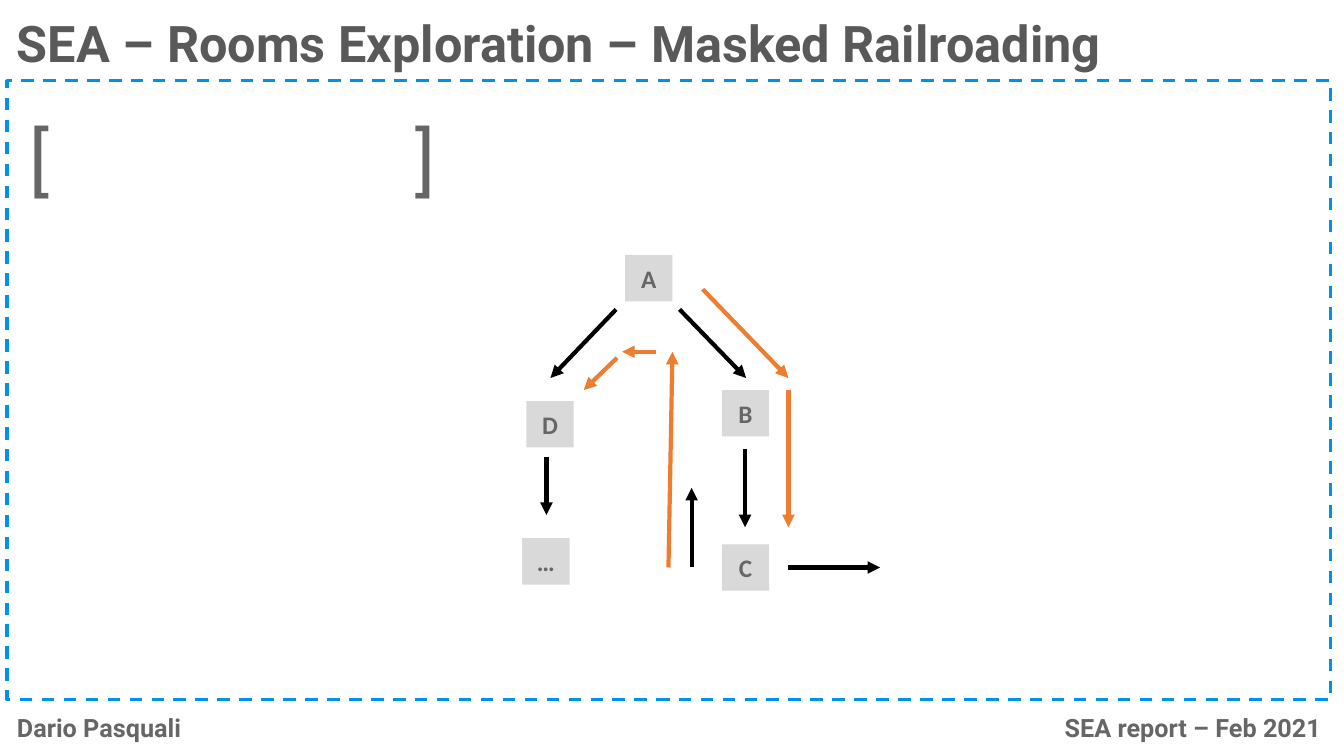
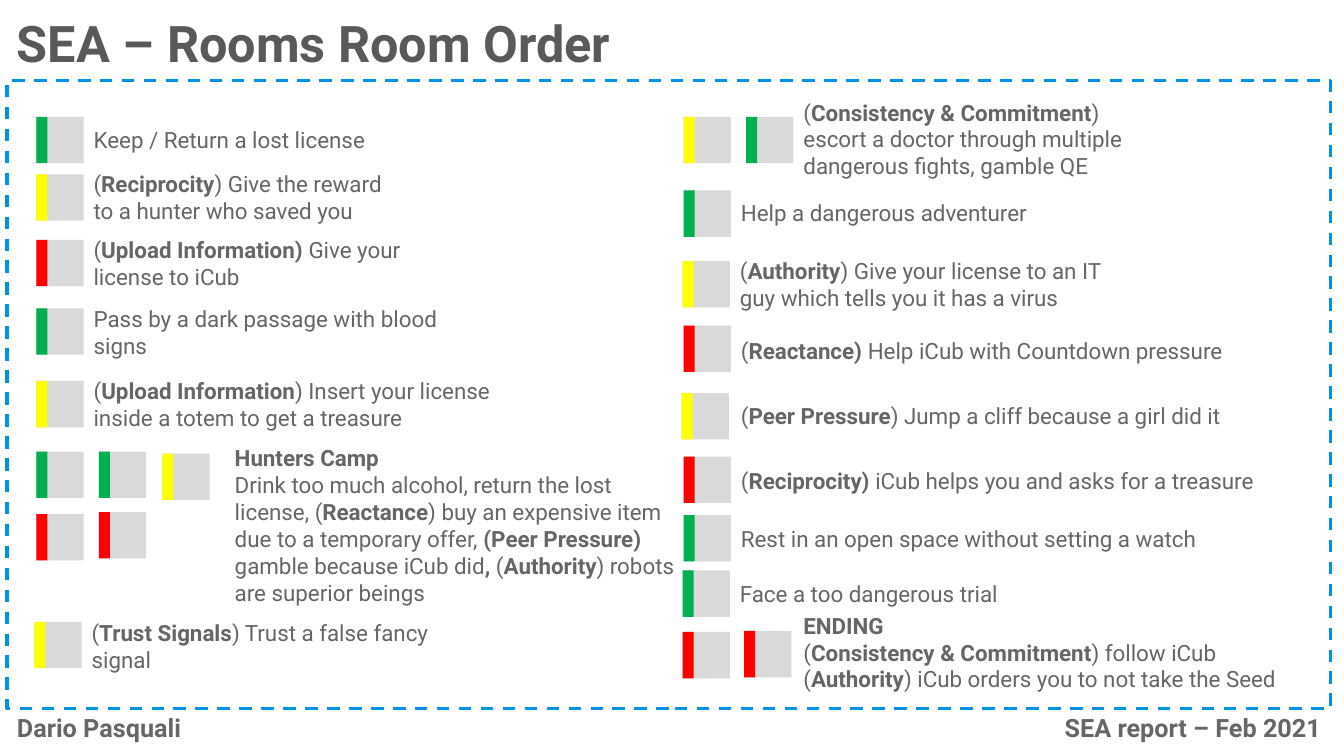
from lxml import etree
from pptx import Presentation
from pptx.dml.color import RGBColor
from pptx.enum.dml import MSO_LINE
from pptx.enum.shapes import MSO_CONNECTOR, MSO_SHAPE
from pptx.enum.text import MSO_ANCHOR, MSO_AUTO_SIZE, PP_ALIGN
from pptx.oxml.ns import qn
from pptx.util import Pt

PX = 9144  # EMU in one px, 100 px to the inch
RECT = MSO_SHAPE.RECTANGLE
STRAIGHT = MSO_CONNECTOR.STRAIGHT
LEFT, CENTER, RIGHT = PP_ALIGN.LEFT, PP_ALIGN.CENTER, PP_ALIGN.RIGHT

COLORS = {
    "text": "666666", "title": "595959", "frame": "0091EA", "room": "D9D9D9",
    "path": "000000", "masked": "ED7D31",
    "green": "00B050", "yellow": "FFFF00", "red": "FF0000",
}
FONT, ROOM_FONT = "Roboto", "Calibri"
ROOM_W, ROOM_H, STRIPE_W = 47, 46, 11
LINE_H, BOX_PADDING = 27, 10

# Slide 1: room letters, and arrows as start and end points
MAP_TITLE = "SEA – Rooms Exploration – Masked Railroading"
MAP_ROOMS = [("A", 620, 253), ("B", 716, 387), ("C", 716, 540),
             ("D", 522, 398), ("…", 518, 534)]
BRACKETS = [("[", 19), ("]", 402)]
ARROWS = {
    "path": [(674, 307, 740, 375), (611, 307, 546, 375), (739, 445, 739, 523),
             (782, 563, 873, 563), (686, 563, 686, 484), (542, 453, 542, 511)],
    "masked": [(697, 287, 782, 375), (782, 387, 782, 523), (663, 563, 667, 349),
               (651, 349, 617, 349), (612, 355, 579, 387)],
}

# Slide 2: tiles (left, top, colour), text box (left, top, width, lines),
# paragraphs with **bold** parts
ORDER_TITLE = "SEA – Rooms Room Order"
ROOM_ORDER = [
    ([(36, 116, "green")], (83, 120, 378, 1), ["Keep / Return a lost license"]),
    ([(36, 173, "yellow")], (83, 164, 326, 2),
     ["(**Reciprocity**) Give the reward to a hunter who saved you"]),
    ([(36, 238, "red")], (83, 229, 326, 2),
     ["(**Upload Information) **Give your license to iCub"]),
    ([(36, 306, "green")], (83, 298, 378, 2),
     ["Pass by a dark passage with blood signs"]),
    ([(36, 378, "yellow")], (83, 369, 415, 2),
     ["(**Upload Information**) Insert your license inside a totem to get a treasure"]),
    ([(36, 448, "green"), (98, 448, "green"), (161, 450, "yellow"),
      (36, 510, "red"), (98, 508, "red")], (223, 436, 464, 6),
     ["**Hunters Camp**",
      "Drink too much alcohol, return the lost license, (**Reactance**) buy an "
      "expensive item due to a temporary offer, **(Peer Pressure) **gamble because "
      "iCub did**,** (**Authority**) robots are superior beings"]),
    ([(34, 617, "yellow")], (81, 609, 415, 2),
     ["(**Trust Signals**) Trust a false fancy signal"]),
    ([(678, 116, "yellow"), (740, 116, "green")], (787, 93, 378, 3),
     ["(**Consistency & Commitment**) escort a doctor through multiple "
      "dangerous fights, gamble QE"]),
    ([(678, 189, "green")], (725, 193, 378, 1), ["Help a dangerous adventurer"]),
    ([(677, 259, "yellow")], (724, 250, 406, 2),
     ["(**Authority**) Give your license to an IT guy which tells you it has a virus"]),
    ([(678, 323, "red")], (725, 330, 540, 1),
     ["(**Reactance) **Help iCub with Countdown pressure"]),
    ([(676, 390, "yellow")], (725, 394, 575, 1),
     ["(**Peer Pressure**) Jump a cliff because a girl did it"]),
    ([(678, 453, "red")], (725, 459, 540, 1),
     ["(**Reciprocity) **iCub helps you and asks for a treasure"]),
    ([(678, 511, "green")], (725, 516, 540, 1),
     ["Rest in an open space without setting a watch"]),
    ([(677, 566, "green")], (724, 571, 540, 1), ["Face a too dangerous trial"]),
    ([(677, 627, "red"), (738, 626, "red")], (787, 602, 513, 3),
     ["**ENDING**", "(**Consistency & Commitment**) follow iCub",
      "(**Authority**) iCub orders you to not take the Seed"]),
]


def rgb(name):
    return RGBColor.from_string(COLORS[name])


def px(*lengths):
    return [length * PX for length in lengths]


def style(font, size, bold=False, color="text", name=FONT):
    font.size, font.bold, font.name = Pt(size), bold, name
    font.color.rgb = rgb(color)


def add_rect(shapes, box, fill=None):
    rect = shapes.add_shape(RECT, *px(*box))
    rect.shadow.inherit = False
    rect.line.fill.background()
    if fill:
        rect.fill.solid()
        rect.fill.fore_color.rgb = rgb(fill)
    else:
        rect.fill.background()
    return rect


def add_text(slide, box, paragraphs, size, bold=False, color="text", align=LEFT):
    frame = slide.shapes.add_textbox(*px(*box)).text_frame
    frame.word_wrap = True
    frame.auto_size = MSO_AUTO_SIZE.SHAPE_TO_FIT_TEXT
    for index, marked in enumerate(paragraphs):
        paragraph = frame.add_paragraph() if index else frame.paragraphs[0]
        paragraph.alignment = align
        # Every second part between ** marks is bold
        for part, text in enumerate(marked.split("**")):
            if text:
                run = paragraph.add_run()
                run.text = text
                style(run.font, size, bold or part % 2 == 1, color)


def add_arrow(slide, points, color):
    arrow = slide.shapes.add_connector(STRAIGHT, *px(*points))
    arrow.line.width = Pt(3)
    arrow.line.color.rgb = rgb(color)
    etree.SubElement(arrow.line._get_or_add_ln(), qn("a:tailEnd"), type="triangle")
    etree.SubElement(arrow._element.spPr, qn("a:effectLst"))


def add_base(deck, title, frame_height):
    """Blank slide with the shared title, dashed frame and footer."""
    slide = deck.slides.add_slide(deck.slide_layouts[6])
    add_text(slide, (7, 702, 247, 40), ["Dario Pasquali"], 18, True)
    frame = add_rect(slide.shapes, (7, 80, 1313, frame_height))
    frame.line.color.rgb = rgb("frame")
    frame.line.width = Pt(2.25)
    frame.line.dash_style = MSO_LINE.DASH
    add_text(slide, (1032, 702, 288, 40), ["SEA report – Feb 2021"], 18, True, align=RIGHT)
    add_text(slide, (7, 7, 1281, 71), [title], 36, True, "title")
    return slide


def build_map(deck):
    slide = add_base(deck, MAP_TITLE, 614)
    for letter, left, top in MAP_ROOMS:
        room = add_rect(slide.shapes, (left, top, ROOM_W, ROOM_H), "room")
        room.text_frame.text = letter
        room.text_frame.vertical_anchor = MSO_ANCHOR.MIDDLE
        paragraph = room.text_frame.paragraphs[0]
        paragraph.alignment = CENTER
        style(paragraph.runs[0].font, 18, True, name=ROOM_FONT)
    for bracket, left in BRACKETS:
        add_text(slide, (left, 106, 38, 101), [bracket], 54)
    for color, arrows in ARROWS.items():
        for points in arrows:
            add_arrow(slide, points, color)


def build_order(deck):
    slide = add_base(deck, ORDER_TITLE, 623)
    for tiles, (left, top, width, lines), paragraphs in ROOM_ORDER:
        for tile_left, tile_top, color in tiles:
            tile = slide.shapes.add_group_shape().shapes
            add_rect(tile, (tile_left, tile_top, ROOM_W, ROOM_H), "room")
            add_rect(tile, (tile_left, tile_top, STRIPE_W, ROOM_H), color)
        height = BOX_PADDING + lines * LINE_H
        add_text(slide, (left, top, width, height), paragraphs, 16)


def main():
    deck = Presentation()
    deck.slide_width, deck.slide_height = px(1333, 750)
    build_map(deck)
    build_order(deck)
    deck.save("out.pptx")


if __name__ == "__main__":
    main()
